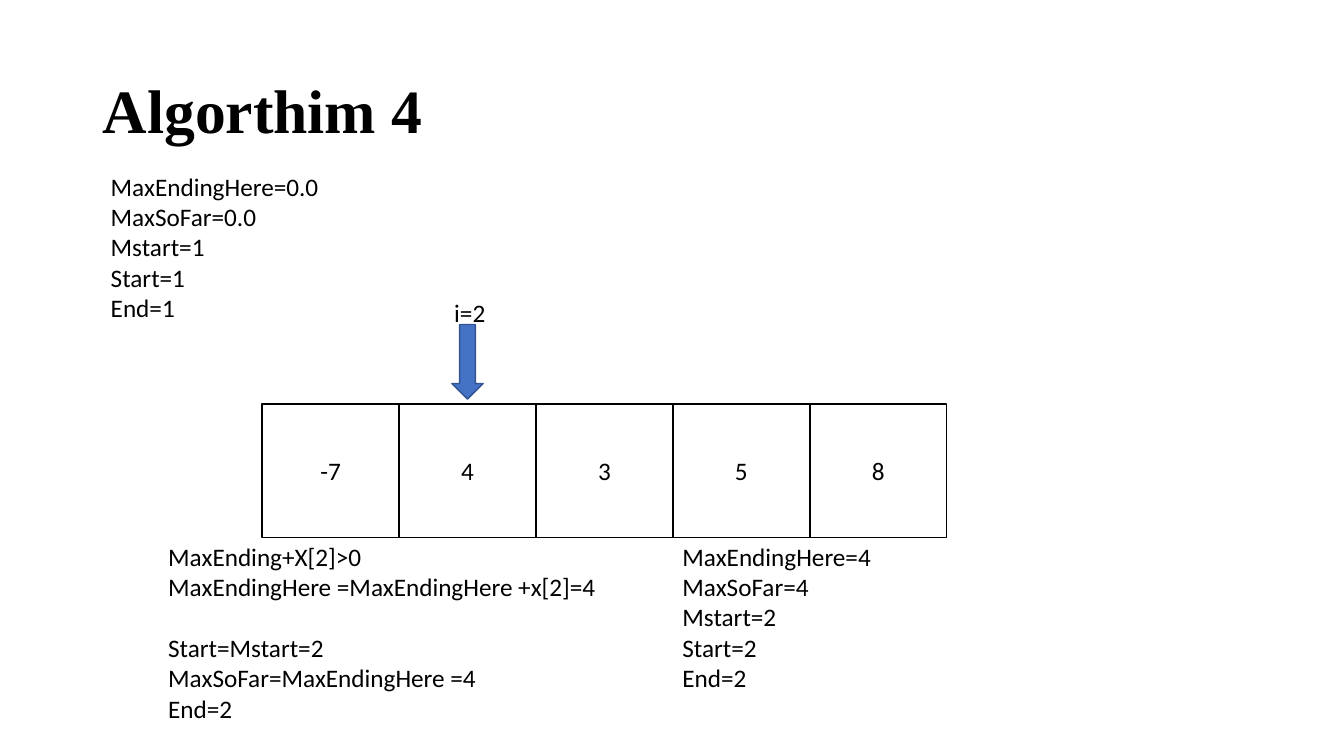
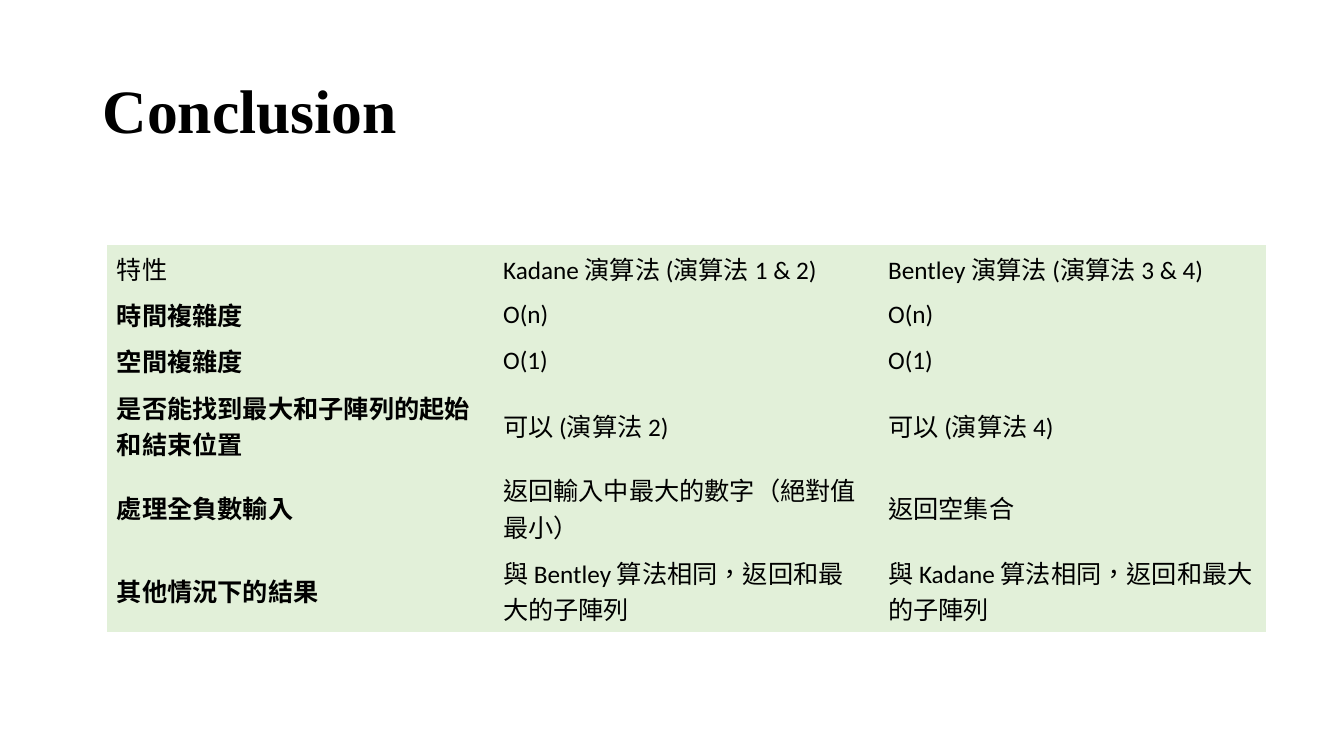
from dataclasses import dataclass

from lxml.etree import SubElement
from pptx import Presentation
from pptx.dml.color import RGBColor
from pptx.enum.lang import MSO_LANGUAGE_ID
from pptx.enum.shapes import MSO_SHAPE
from pptx.enum.text import MSO_ANCHOR, PP_ALIGN
from pptx.oxml.ns import qn
from pptx.util import Inches, Pt


@dataclass(frozen=True)
class Theme:
    """Colours, fonts and sizes shared by the slides."""
    ink: RGBColor = RGBColor(0x00, 0x00, 0x00)
    paper: RGBColor = RGBColor(0xFF, 0xFF, 0xFF)
    arrow: RGBColor = RGBColor(0x44, 0x72, 0xC4)
    arrow_edge: RGBColor = RGBColor(0x32, 0x54, 0x91)
    table: RGBColor = RGBColor(0xE2, 0xF0, 0xD9)
    title_font: str = "Times New Roman"
    body_font: str = "Calibri"
    title_size: int = 44
    body_size: int = 18
    line_height: int = 22
    edge_width: int = 1
    plain_table_style: str = "{2D5ABB26-0587-4C30-8999-92F81FD0307C}"


THEME = Theme()
ARRAY_VALUES = ["-7", "4", "3", "5", "8"]
STATE_BEFORE = ["MaxEndingHere=0.0", "MaxSoFar=0.0", "Mstart=1", "Start=1", "End=1"]
STATE_AFTER = ["MaxEndingHere=4", "MaxSoFar=4", "Mstart=2", "Start=2", "End=2"]
STEPS = [
    "MaxEnding+X[2]>0",
    "MaxEndingHere =MaxEndingHere +x[2]=4",
    "Start=Mstart=2",
    "MaxSoFar=MaxEndingHere =4",
    "End=2",
]
COMPARISON = [
    ["特性", "Kadane 演算法 (演算法 1 & 2)", "Bentley 演算法 (演算法 3 & 4)"],
    ["時間複雜度", "O(n)", "O(n)"],
    ["空間複雜度", "O(1)", "O(1)"],
    ["是否能找到最大和子陣列的起始和結束位置", "可以 (演算法 2)", "可以 (演算法 4)"],
    ["處理全負數輸入", "返回輸入中最大的數字（絕對值最小）", "返回空集合"],
    ["其他情況下的結果", "與 Bentley 算法相同，返回和最大的子陣列",
     "與 Kadane 算法相同，返回和最大的子陣列"],
]


def style_text(frame, font=THEME.body_font, size=THEME.body_size, bold=False, language=None):
    """Format every run of a text frame."""
    for paragraph in frame.paragraphs:
        for span in paragraph.runs:
            span.font.name = font
            span.font.size = Pt(size)
            span.font.bold = bold
            span.font.color.rgb = THEME.ink
            if language:
                span.font.language_id = language


def add_text(page, left, top, width, height, lines):
    """Add a wrapping body text box with one paragraph per line."""
    box = page.shapes.add_textbox(Inches(left), Inches(top), Inches(width), Inches(height))
    frame = box.text_frame
    frame.word_wrap = True
    frame.text = "\n".join(lines)
    style_text(frame)
    return frame


def add_page(deck, title):
    """Add a blank page with the shared title."""
    page = deck.slides.add_slide(deck.slide_layouts[6])
    frame = add_text(page, 0.92, 0.4, 11.5, 1.45, [title])
    frame.vertical_anchor = MSO_ANCHOR.MIDDLE
    frame.paragraphs[0].line_spacing = 0.9
    style_text(frame, THEME.title_font, THEME.title_size, bold=True)
    return page


def add_solid(page, kind, left, top, width, height, fill, edge):
    """Add a flat filled shape with a thin edge."""
    shape = page.shapes.add_shape(kind, Inches(left), Inches(top), Inches(width), Inches(height))
    shape.shadow.inherit = False
    shape.fill.solid()
    shape.fill.fore_color.rgb = fill
    shape.line.color.rgb = edge
    shape.line.width = Pt(THEME.edge_width)
    return shape


def add_array(page, left, top, width, height, values, current):
    """Draw the array cells and the pointer above the current one."""
    cell_width = width / len(values)
    for index, value in enumerate(values):
        cell = add_solid(page, MSO_SHAPE.RECTANGLE, left + index * cell_width, top,
                         cell_width, height, THEME.paper, THEME.ink)
        frame = cell.text_frame
        frame.text = value
        frame.vertical_anchor = MSO_ANCHOR.MIDDLE
        frame.paragraphs[0].alignment = PP_ALIGN.CENTER
        style_text(frame)
    center = left + (current - 0.5) * cell_width
    arrow_width = 0.31
    add_solid(page, MSO_SHAPE.DOWN_ARROW, center - arrow_width / 2, top - 0.79,
              arrow_width, 0.74, THEME.arrow, THEME.arrow_edge)
    add_text(page, center - 0.23, top - 1.11, 5.67, 0.4, [f"i={current}"])


def add_comparison(page, left, top, column_widths, rows):
    """Add the plain tinted comparison table."""
    row_heights = [0.46] * 3 + [0.82] * 3
    holder = page.shapes.add_table(len(rows), len(column_widths), Inches(left), Inches(top),
                                   Inches(sum(column_widths)), Inches(sum(row_heights)))
    table = holder.table
    table.first_row = table.horz_banding = False
    properties = table._tbl.tblPr
    for style in properties.findall(qn("a:tableStyleId")):
        properties.remove(style)
    SubElement(properties, qn("a:tableStyleId")).text = THEME.plain_table_style
    for column, width in zip(table.columns, column_widths):
        column.width = Inches(width)
    for row_index, (row, texts) in enumerate(zip(table.rows, rows)):
        row.height = Inches(row_heights[row_index])
        for column_index, (cell, text) in enumerate(zip(row.cells, texts)):
            cell.fill.solid()
            cell.fill.fore_color.rgb = THEME.table
            cell.vertical_anchor = MSO_ANCHOR.MIDDLE
            cell.text_frame.text = text
            style_text(cell.text_frame, bold=row_index > 0 and column_index == 0,
                       language=MSO_LANGUAGE_ID.TRADITIONAL_CHINESE)


def build_algorithm(deck):
    """Build the slide that traces one step of the algorithm."""
    page = add_page(deck, "Algorthim 4")
    add_array(page, 2.6, 4.01, 6.79, 1.32, ARRAY_VALUES, current=2)
    add_text(page, 1, 1.65, 5.67, 1.62, STATE_BEFORE)
    steps = add_text(page, 1.57, 5.32, 5.43, 1.92, STEPS)
    steps.paragraphs[2].space_before = Pt(THEME.line_height)
    add_text(page, 6.67, 5.32, 5.67, 1.62, STATE_AFTER)


def build_conclusion(deck):
    """Build the slide that compares the algorithms."""
    page = add_page(deck, "Conclusion")
    add_comparison(page, 1.06, 2.43, [3.83, 3.82, 3.85], COMPARISON)


def main():
    """Build and save the deck."""
    deck = Presentation()
    deck.slide_width = Inches(13.33)
    deck.slide_height = Inches(7.5)
    build_algorithm(deck)
    build_conclusion(deck)
    deck.save("out.pptx")


if __name__ == "__main__":
    main()
